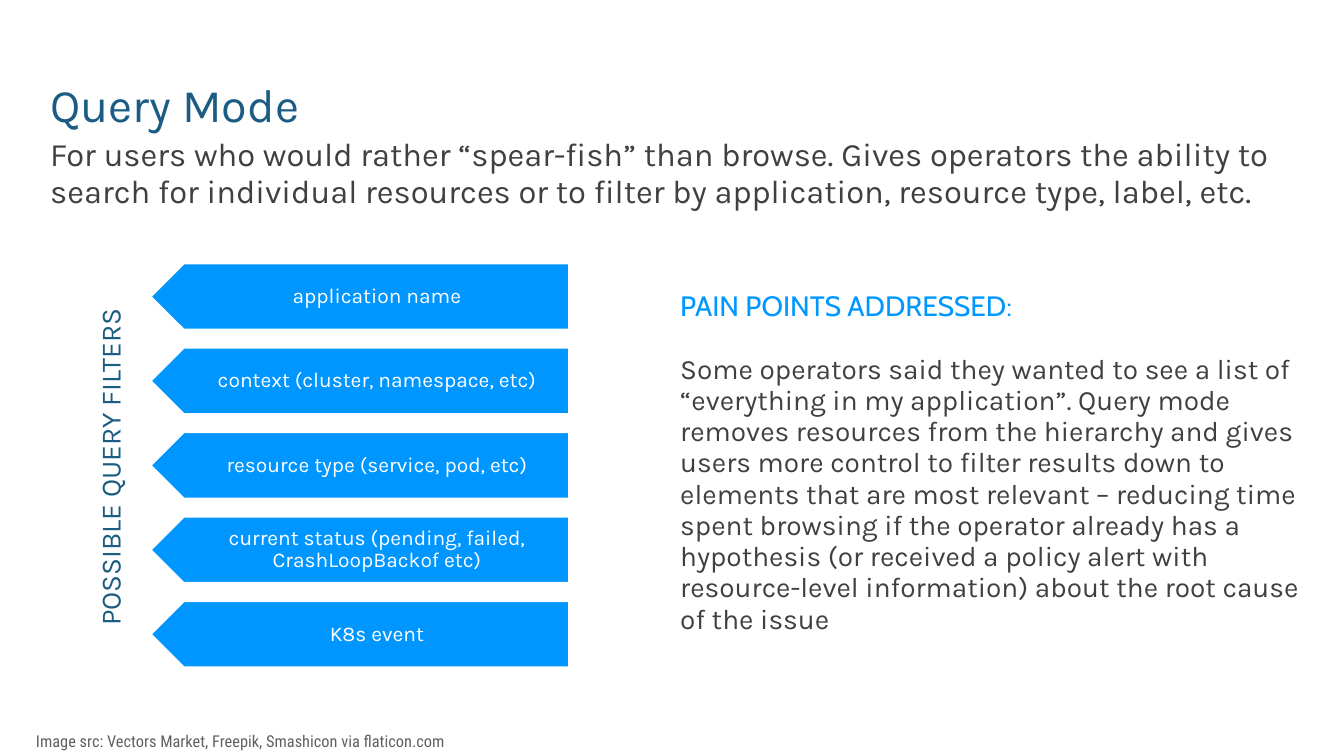
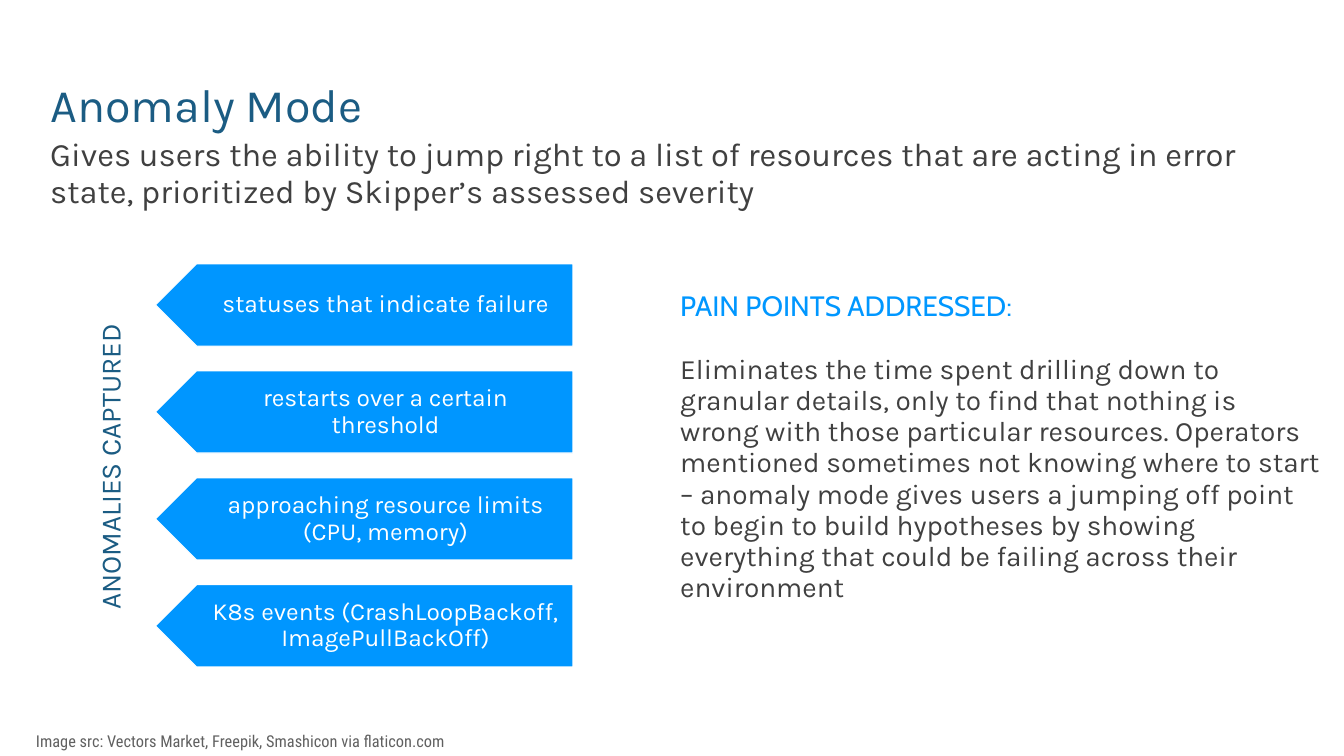
from collections import namedtuple

from pptx import Presentation
from pptx.dml.color import RGBColor
from pptx.enum.shapes import MSO_SHAPE
from pptx.enum.text import MSO_ANCHOR, MSO_AUTO_SIZE, PP_ALIGN
from pptx.util import Inches, Pt

NAVY = RGBColor(0x1B, 0x5C, 0x83)
BLUE = RGBColor(0x00, 0x96, 0xFF)
HEADING_BLUE = RGBColor(0x00, 0x97, 0xFF)
DARK = RGBColor(0x40, 0x40, 0x40)
GREY = RGBColor(0x60, 0x60, 0x60)
WHITE = RGBColor(0xFF, 0xFF, 0xFF)
BODY_FONT, HEADING_FONT, CREDIT_FONT = "Karla", "Cabin", "Roboto Condensed"
LINE_SPACING = 0.93

Box = namedtuple("Box", "left top width height")
TITLE = Box(0.5, 0.91, 12, 0.84)
SUMMARY = Box(0.5, 1.59, 14.83, 1.35)
SIDE_LABEL = Box(-1.21, 5.32, 5.08, 0.48)
PAIN_POINTS = Box(8, 3.42, 7.83, 4.23)
CREDIT = Box(0.33, 8.67, 8.25, 0.32)

CREDIT_TEXT = "Image src: Vectors Market, Freepik, Smashicon via flaticon.com"

MODES = [
    dict(
        title="Query Mode",
        summary="For users who would rather “spear-fish” than browse. Gives "
                "operators the ability to search for individual resources or to "
                "filter by application, resource type, label, etc.",
        label="POSSIBLE QUERY FILTERS",
        arrows=["application name",
                "context (cluster, namespace, etc)",
                "resource type (service, pod, etc)",
                "current status (pending, failed, CrashLoopBackof etc)",
                "K8s event"],
        arrow_area=Box(1.8, 3.14, 4.97, 4.8), arrow_height=0.78, arrow_size=18,
        pain="Some operators said they wanted to see a list of “everything in my "
             "application”. Query mode removes resources from the hierarchy and "
             "gives users more control to filter results down to elements that "
             "are most relevant – reducing time spent browsing if the operator "
             "already has a hypothesis (or received a policy alert with "
             "resource-level information) about the root cause of the issue",
    ),
    dict(
        title="Anomaly Mode",
        summary="Gives users the ability to jump right to a list of resources that "
                "are acting in error state, prioritized by Skipper’s assessed "
                "severity",
        label="ANOMALIES CAPTURED",
        arrows=["statuses that indicate failure",
                "restarts over a certain threshold",
                "approaching resource limits (CPU, memory)",
                "K8s events (CrashLoopBackoff, ImagePullBackOff)"],
        arrow_area=Box(1.85, 3.14, 4.97, 4.8), arrow_height=0.98, arrow_size=21,
        pain="Eliminates the time spent drilling down to granular details, only to "
             "find that nothing is wrong with those particular resources. "
             "Operators mentioned sometimes not knowing where to start – anomaly "
             "mode gives users a jumping off point to begin to build hypotheses by "
             "showing everything that could be failing across their environment",
    ),
]


def emu(box):
    return [Inches(length) for length in box]


def style(p, size, color, font=BODY_FONT, align=PP_ALIGN.LEFT, spacing=LINE_SPACING):
    p.alignment = align
    p.line_spacing = spacing
    p.font.size = Pt(size)
    p.font.name = font
    p.font.color.rgb = color


def add_text(shapes, box, text, *args, **kwargs):
    """Add a wrapped text box of one paragraph; the rest goes to style()."""
    tb = shapes.add_textbox(*emu(box))
    tf = tb.text_frame
    tf.word_wrap = True
    tf.text = text
    style(tf.paragraphs[0], *args, **kwargs)
    return tb


def set_title(s, box, text):
    title = s.shapes.title
    title.left, title.top, title.width, title.height = emu(box)
    tf = title.text_frame
    tf.auto_size = MSO_AUTO_SIZE.NONE
    tf.vertical_anchor = MSO_ANCHOR.TOP
    tf.text = text
    style(tf.paragraphs[0], 40, NAVY)


def add_arrow(shapes, box, text, size):
    """Add a left-pointing arrow whose label stays clear of the tip."""
    arrow = shapes.add_shape(MSO_SHAPE.PENTAGON, *emu(box))
    arrow.rotation = 180
    arrow.shadow.inherit = False
    arrow.fill.solid()
    arrow.fill.fore_color.rgb = BLUE
    arrow.line.color.rgb = WHITE
    arrow.line.width = Pt(1)

    h = box.height
    label = Box(box.left + h / 4, box.top, box.width - h / 4, h)
    tf = add_text(shapes, label, text, size, WHITE,
                  align=PP_ALIGN.CENTER, spacing=0.9).text_frame
    tf.vertical_anchor = MSO_ANCHOR.MIDDLE
    tf.margin_left, tf.margin_right = Inches(0.44 * h), Inches(0.17 * h)
    tf.margin_top = tf.margin_bottom = Inches(0.09 * h)


def add_arrow_stack(s, area, texts, height, size):
    """Spread equal arrows from the top to the bottom of the area."""
    group = s.shapes.add_group_shape()
    pitch = (area.height - height) / (len(texts) - 1)
    for i, text in enumerate(texts):
        box = Box(area.left, area.top + i * pitch, area.width, height)
        add_arrow(group.shapes, box, text, size)


def add_pain_points(s, box, text):
    tb = add_text(s.shapes, box, "PAIN POINTS ADDRESSED:", 24, HEADING_BLUE,
                  font=HEADING_FONT)
    p = tb.text_frame.add_paragraph()
    p.text = text
    p.space_before = Pt(27)
    style(p, 24, DARK)


def add_mode_slide(prs, mode):
    s = prs.slides.add_slide(prs.slide_layouts.get_by_name("Title Only"))
    set_title(s, TITLE, mode["title"])
    add_text(s.shapes, CREDIT, CREDIT_TEXT, 14, GREY, font=CREDIT_FONT)
    add_text(s.shapes, SUMMARY, mode["summary"], 28, DARK)
    add_pain_points(s, PAIN_POINTS, mode["pain"])
    add_arrow_stack(s, mode["arrow_area"], mode["arrows"],
                    mode["arrow_height"], mode["arrow_size"])
    label = add_text(s.shapes, SIDE_LABEL, mode["label"], 24, NAVY,
                     align=PP_ALIGN.CENTER)
    label.rotation = 270


def main():
    prs = Presentation()
    prs.slide_width, prs.slide_height = Inches(16), Inches(9)
    for mode in MODES:
        add_mode_slide(prs, mode)
    prs.save("out.pptx")


if __name__ == "__main__":
    main()
